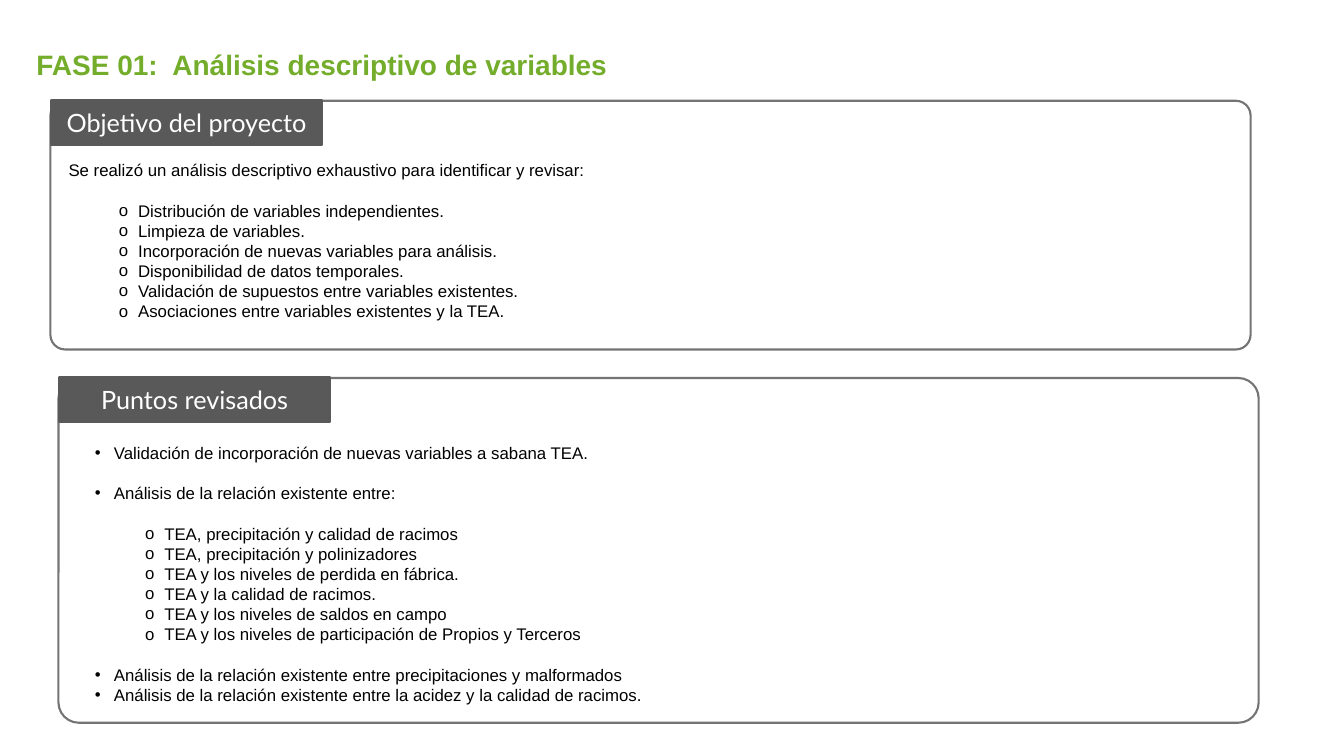
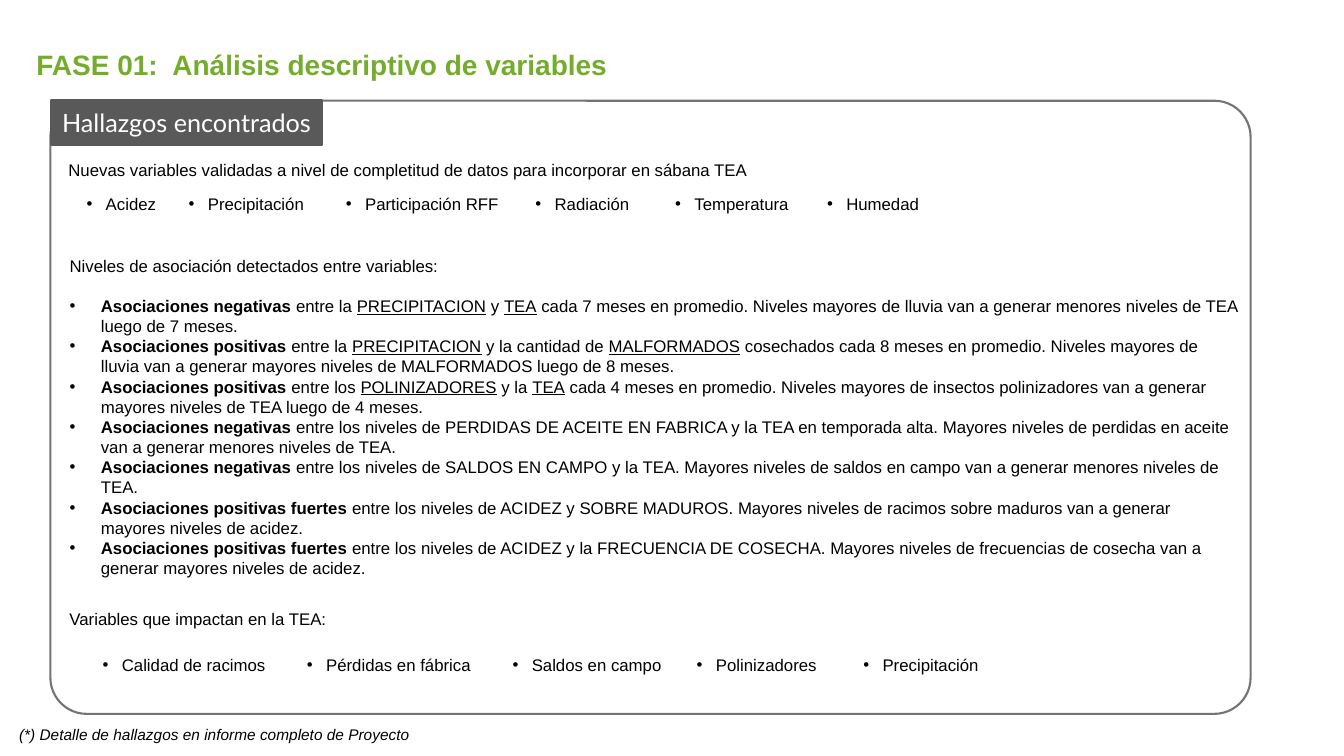
from lxml import etree
from pptx import Presentation
from pptx import util as u
from pptx.dml.color import RGBColor
from pptx.enum import shapes, text
from pptx.oxml.ns import qn

COLORS = {"green": "74AD2B", "frame": "747474", "label": "595959",
          "white": "FFFFFF", "black": "000000"}
LINE = u.Pt(14.4)
TITLE = "FASE 01:  Análisis descriptivo de variables"
# paragraph kind: bullet, left margin in inches, hanging indent in inches, level
KINDS = {"plain": (None, 0, 0, 0), "dot": ("•", 0.19, 0.19, 0),
         "wide": ("•", 0.31, 0.31, 0), "sub": ("o", 0.69, 0.19, 1)}

prs = Presentation()
prs.slide_width, prs.slide_height = u.Inches(13.33), u.Inches(7.5)


def place(sp, left, top, width, height):
    """Position a shape in percent of the slide's width and height."""
    sp.left, sp.width = (int(prs.slide_width * v / 100) for v in (left, width))
    sp.top, sp.height = (int(prs.slide_height * v / 100) for v in (top, height))
    return sp


def write(sp, rows, size=12, color="black", font="Arial", spacing=LINE):
    """Fill a shape with rows of (kind, blank lines before, runs of (text, style))."""
    tf = sp.text_frame
    tf.word_wrap = True
    tf.auto_size = text.MSO_AUTO_SIZE.NONE
    tf.vertical_anchor = text.MSO_ANCHOR.TOP
    for i, (kind, gap, runs) in enumerate(rows):
        p = tf.add_paragraph() if i else tf.paragraphs[0]
        char, margin, hang, p.level = KINDS[kind]
        p.alignment = text.PP_ALIGN.LEFT
        p.line_spacing = spacing
        p.space_before, p.space_after = int(LINE * gap), 0
        pPr = p._p.get_or_add_pPr()
        pPr.set("marL", str(u.Inches(margin)))
        pPr.set("indent", str(-u.Inches(hang)))
        if char:
            etree.SubElement(pPr, qn("a:buFont")).set("typeface", "Arial")
            etree.SubElement(pPr, qn("a:buChar")).set("char", char)
        else:
            etree.SubElement(pPr, qn("a:buNone"))
        for words, style in runs:
            r = p.add_run()
            r.text = words
            r.font.name, r.font.size = font, u.Pt(size)
            r.font.color.rgb = RGBColor.from_string(COLORS[color])
            r.font.bold, r.font.italic = "b" in style, "i" in style
            r.font.underline = "u" in style


# Content of the body placeholders
goals = [("plain", 0, [("Se realizó un análisis descriptivo exhaustivo para identificar y revisar:", "")])]
for i, words in enumerate([
        "Distribución de variables independientes.",
        "Limpieza de variables.",
        "Incorporación de nuevas variables para análisis.",
        "Disponibilidad de datos temporales.",
        "Validación de supuestos entre variables existentes.",
        "Asociaciones entre variables existentes y la TEA."]):
    goals.append(("sub", int(i == 0), [(words, "")]))

reviewed = [(kind, gap, [(words, "")]) for kind, gap, words in [
    ("dot", 0, "Validación de incorporación de nuevas variables a sabana TEA."),
    ("dot", 1, "Análisis de la relación existente entre:"),
    ("sub", 1, "TEA, precipitación y calidad de racimos"),
    ("sub", 0, "TEA, precipitación y polinizadores"),
    ("sub", 0, "TEA y los niveles de perdida en fábrica."),
    ("sub", 0, "TEA y la calidad de racimos."),
    ("sub", 0, "TEA y los niveles de saldos en campo"),
    ("sub", 0, "TEA y los niveles de participación de Propios y Terceros"),
    ("dot", 1, "Análisis de la relación existente entre precipitaciones y malformados"),
    ("dot", 0, "Análisis de la relación existente entre la acidez y la calidad de racimos.")]]

findings = [("plain", 0, [("Niveles de asociación detectados entre variables:", "")])]
for i, (lead, *rest) in enumerate([
        ("negativas", (" entre la ", ""), ("PRECIPITACION", "u"), (" y ", ""), ("TEA", "u"),
         (" cada 7 meses en promedio. Niveles mayores de lluvia van a generar "
          "menores niveles de TEA luego de 7 meses.", "")),
        ("positivas", (" entre la ", ""), ("PRECIPITACION", "u"), (" y la cantidad de ", ""),
         ("MALFORMADOS", "u"),
         (" cosechados cada 8 meses en promedio. Niveles mayores de lluvia van a generar "
          "mayores niveles de MALFORMADOS luego de 8 meses.", "")),
        ("positivas", (" entre los ", ""), ("POLINIZADORES", "u"), (" y la ", ""), ("TEA", "u"),
         (" cada 4 meses en promedio. Niveles mayores de insectos polinizadores van a generar "
          "mayores niveles de TEA luego de 4 meses.", "")),
        ("negativas",
         (" entre los niveles de PERDIDAS DE ACEITE EN FABRICA y la TEA en temporada alta. "
          "Mayores niveles de perdidas en aceite van a generar menores niveles de TEA.", "")),
        ("negativas",
         (" entre los niveles de SALDOS EN CAMPO y la TEA. "
          "Mayores niveles de saldos en campo van a generar menores niveles de TEA.", "")),
        ("positivas fuertes",
         (" entre los niveles de ACIDEZ y SOBRE MADUROS. "
          "Mayores niveles de racimos sobre maduros van a generar mayores niveles de acidez.", "")),
        ("positivas fuertes",
         (" entre los niveles de ACIDEZ y la FRECUENCIA DE COSECHA. "
          "Mayores niveles de frecuencias de cosecha van a generar mayores niveles de acidez.", ""))]):
    findings.append(("wide", int(i == 0), [("Asociaciones " + lead, "b"), *rest]))

# Each slide: layout number and panels of (label, panel box, body box, body rows)
decks = [
    (3, [("Objetivo del proyecto", (3.75, 13.33, 89.3, 32.9), (4.35, 20.5, 88.1, 23), goals),
         ("Puntos revisados", (4.35, 50, 89.3, 45.6), (6.3, 57.9, 83.7, 36.4), reviewed)]),
    (1, [("Hallazgos encontrados", (3.75, 13.33, 89.3, 81.1), (4.43, 33.1, 88.65, 44.4), findings)]),
]
for layout, panels in decks:
    s = prs.slides.add_slide(prs.slide_layouts[layout])
    title, *bodies = s.placeholders
    write(place(title, 1.95, 5.6, 82.2, 5.87), [("plain", 0, [(TITLE, "b")])],
          20, "green", spacing=u.Pt(24))
    for body, (label, box, body_box, rows) in zip(bodies, panels):
        write(place(body, *body_box), rows)
        frame = s.shapes.add_shape(shapes.MSO_SHAPE.ROUNDED_RECTANGLE, 0, 0, 0, 0)
        place(frame, *box).adjustments[0] = 0.059
        frame.fill.background()
        tag = s.shapes.add_shape(shapes.MSO_SHAPE.RECTANGLE, 0, 0, 0, 0)
        place(tag, box[0] + 0.08, box[1] - 0.13, 20.1, 6)
        tag.fill.solid()
        tag.fill.fore_color.rgb = RGBColor.from_string(COLORS["label"])
        for sp, color in ((frame, "frame"), (tag, "label")):
            sp.shadow.inherit = False
            sp.line.color.rgb = RGBColor.from_string(COLORS[color])
            sp.line.width = u.Pt(1.5)
        write(tag, [("plain", 0, [(label, "")])], 18, "white", "Lato", 1.0)
        tag.text_frame.word_wrap = False
        tag.text_frame.vertical_anchor = text.MSO_ANCHOR.MIDDLE
        tag.text_frame.paragraphs[0].alignment = text.PP_ALIGN.CENTER

# Loose notes and rows of variables on the last slide
notes = [
    (4.35, 20.5, 62.8, "plain", 12, "", "Nuevas variables validadas a nivel de completitud "
                                        "de datos para incorporar en sábana TEA"),
    (4.43, 79.9, 62.8, "plain", 12, "", "Variables que impactan en la TEA:"),
    (0.68, 95.2, 62.8, "plain", 11, "i", "(*) Detalle de hallazgos en informe completo de Proyecto"),
]
for top, variables in [
        (24.95, {"Acidez": 5.7, "Precipitación": 13.3, "Participación RFF": 25,
                 "Radiación": 39.1, "Temperatura": 49.5, "Humedad": 60.8}),
        (85.9, {"Calidad de racimos": 6.9, "Pérdidas en fábrica": 22.1, "Saldos en campo": 37.4,
                "Polinizadores": 51.1, "Precipitación": 63.5})]:
    notes += [(left, top, 15, "dot", 12, "", name) for name, left in variables.items()]
for left, top, width, kind, size, style, words in notes:
    sp = place(s.shapes.add_textbox(0, 0, 0, 0), left, top, width, 4)
    write(sp, [(kind, 0, [(words, style)])], size, spacing=u.Pt(size * 1.2))

prs.save("out.pptx")
